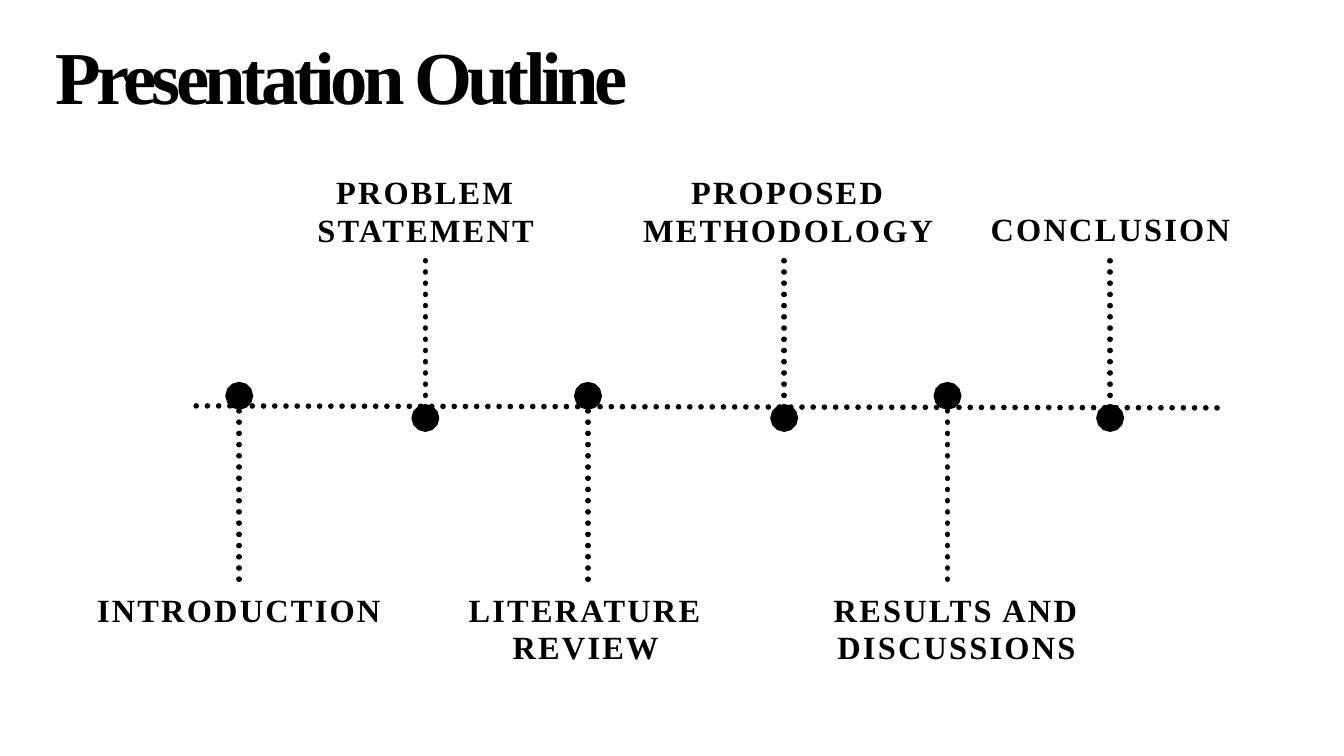
"""Build the presentation outline slide: a dotted timeline with six labelled stops."""
from lxml import etree
from pptx import Presentation, util as u
from pptx.dml.color import RGBColor
from pptx.enum import dml, shapes, text
from pptx.oxml.ns import qn

TITLE = "Presentation Outline"
STOPS = [
    # label, side, stem x, label left, label width, label rows
    ("INTRODUCTION", "below", 356, 134, 443, 1),
    ("PROBLEM STATEMENT", "above", 633, 451, 365, 2),
    ("LITERATURE REVIEW", "below", 875, 689, 365, 2),
    ("PROPOSED METHODOLOGY", "above", 1167, 954, 438, 2),
    ("RESULTS AND DISCUSSIONS", "below", 1410, 1223, 401, 2),
    ("CONCLUSION", "above", 1652, 1439, 427, 1),
]
STEMS = {"above": (388, 622), "below": (862, 589)}
LABEL_BOTTOM, LABEL_TOP = 371, 880
ROW_HEIGHTS = {1: 57, 2: 112}
AXIS = (292, 604, 1819, 607)
BLACK = RGBColor(0, 0, 0)
WHITE = RGBColor(255, 255, 255)
FONT = "Times New Roman"


def px(n):
    return u.Emu(n * 9144)


def write(sp, words, size, leading, spacing, align):
    tf = sp.text_frame
    tf.text = words
    tf.word_wrap = True
    tf.auto_size = text.MSO_AUTO_SIZE.NONE
    tf.vertical_anchor = text.MSO_ANCHOR.TOP
    tf.margin_left = tf.margin_top = tf.margin_right = tf.margin_bottom = 0
    p = tf.paragraphs[0]
    p.alignment = align
    p.line_spacing = u.Pt(leading)
    p.space_before = u.Pt(0)
    r = p.runs[0]
    r.font.name, r.font.size, r.font.bold = FONT, u.Pt(size), True
    r.font.color.rgb = BLACK
    r._r.get_or_add_rPr().set("spc", str(spacing))


def dotted_line(s, x1, y1, x2, y2, dot_end=False):
    line = s.shapes.add_connector(
        shapes.MSO_CONNECTOR.STRAIGHT, px(x1), px(y1), px(x2), px(y2))
    line.line.color.rgb = BLACK
    line.line.width = u.Pt(6)
    line.line.dash_style = dml.MSO_LINE.ROUND_DOT
    ln = line.line._get_or_add_ln()
    ln.set("cap", "rnd")
    if dot_end:
        etree.SubElement(ln, qn("a:tailEnd"), type="oval", w="lg", len="lg")
    etree.SubElement(line._element.spPr, qn("a:effectLst"))


def add_stop(s, label, side, x, left, width, rows):
    start, end = STEMS[side]
    dotted_line(s, x, start, x, end, dot_end=True)
    height = ROW_HEIGHTS[rows]
    top = LABEL_BOTTOM - height if side == "above" else LABEL_TOP
    sp = s.shapes.add_textbox(px(left), px(top), px(width), px(height))
    write(sp, label, 34.7, 40, 240, text.PP_ALIGN.CENTER)


def main():
    prs = Presentation()
    prs.slide_width, prs.slide_height = px(2000), px(1125)
    s = prs.slides.add_slide(prs.slide_layouts[5])
    s.background.fill.solid()
    s.background.fill.fore_color.rgb = WHITE
    title = s.shapes.title
    title.left, title.top, title.width, title.height = map(px, (82, 44, 1275, 135))
    write(title, TITLE, 80, 96, -500, text.PP_ALIGN.LEFT)
    dotted_line(s, *AXIS)
    for stop in STOPS:
        add_stop(s, *stop)
    prs.save("out.pptx")


if __name__ == "__main__":
    main()
